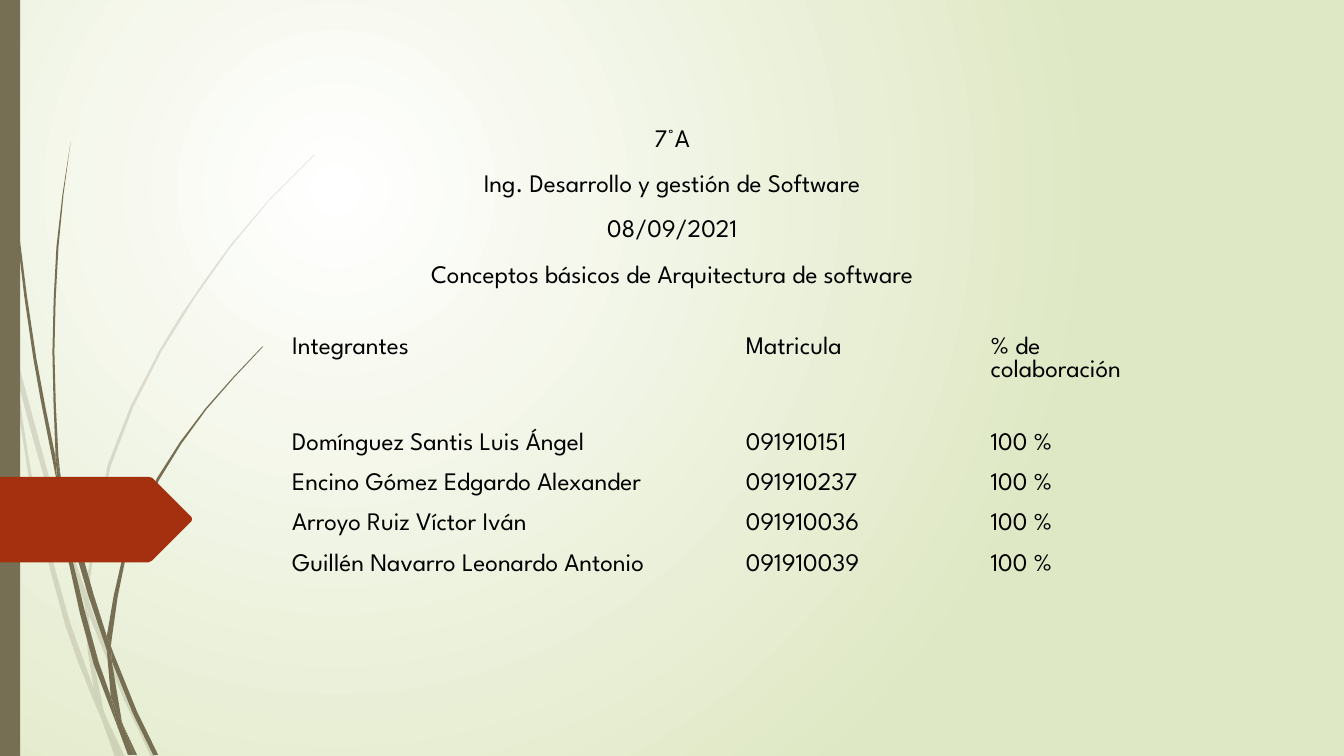
from dataclasses import dataclass
from itertools import pairwise
from math import dist

from lxml.etree import SubElement as Sub
from pptx import Presentation
from pptx.dml.color import RGBColor as Rgb
from pptx.enum.shapes import MSO_SHAPE as Kind
from pptx.enum.text import MSO_AUTO_SIZE as Fit, PP_ALIGN as Align
from pptx.oxml.ns import qn
from pptx.util import Cm, Pt

Dot = tuple[float, float]

HUES = {"white": "FFFFFF", "lime": "DFE8C4", "olive": "766F54", "rust": "A53010", "black": "000000"}
FONT = "League Spartan"
UNIT = Cm(0.0254)
CHORD = 50
PLAIN = "{2D5ABB26-0587-4C30-8999-92F81FD0307C}"


@dataclass
class Blade:
    down: list[Dot]
    back: list[Dot]


@dataclass
class Tuft:
    alpha: int
    blades: list[Blade]


@dataclass
class Member:
    name: str
    code: str
    share: str


FAINT = Tuft(20, [
    Blade([(11, 350), (9, 322), (0, 282)], [(0, 299), (10, 344)]),
    Blade([(14, 345), (17, 376), (58, 522), (84, 599)], [(85, 586), (62, 520), (14, 345)]),
    Blade([(88, 610), (123, 694), (150, 751)], [(155, 751), (127, 692), (92, 607), (88, 596)]),
    Blade([(105, 711), (119, 751)], [(124, 751)]),
    Blade([(11, 350), (28, 470), (65, 621), (92, 693), (101, 714)],
          [(99, 707), (93, 683), (70, 619), (31, 469), (17, 376), (11, 350)]),
    Blade([(84, 599), (87, 646), (93, 683), (96, 692), (105, 711)],
          [(103, 706), (91, 646), (88, 610)]),
    Blade([(88, 596), (88, 584), (110, 462), (160, 349), (229, 245), (268, 198), (312, 154)],
          [(312, 153), (268, 197), (228, 244), (158, 348), (107, 461), (85, 584)]),
    Blade([(101, 714), (114, 751)], [(119, 751)]),
    Blade([(85, 586), (84, 599), (88, 608)], [(88, 596)]),
    Blade([(93, 683), (101, 714), (119, 751)], [(105, 711), (96, 692)]),
])
SOLID = Tuft(100, [
    Blade([(3, 0), (7, 110), (17, 233), (33, 355), (57, 481)],
          [(55, 453), (36, 355), (19, 232), (8, 109), (4, 0)]),
    Blade([(60, 472), (64, 505), (88, 592), (106, 645)], [(106, 631), (93, 590), (60, 472)]),
    Blade([(110, 641), (111, 656), (132, 708), (152, 749)], [(157, 749), (136, 706), (113, 649)]),
    Blade([(57, 477), (68, 557), (93, 659), (117, 722)],
          [(110, 691), (98, 657), (72, 556), (64, 505)]),
    Blade([(60, 472), (58, 453), (54, 349), (58, 245), (63, 193), (70, 141)],
          [(62, 193), (56, 245), (52, 349), (55, 449)]),
    Blade([(122, 719), (133, 749)], [(136, 749)]),
    Blade([(55, 449), (60, 472), (64, 505)], [(57, 477), (55, 453)]),
    Blade([(110, 641), (111, 633), (125, 552), (158, 476), (205, 406), (261, 344)],
          [(260, 344), (204, 405), (156, 474), (122, 551), (106, 631)]),
    Blade([(117, 722), (127, 749)], [(131, 749)]),
    Blade([(106, 645), (110, 691), (122, 719)], [(121, 716), (111, 656)]),
    Blade([(106, 631), (106, 645), (111, 656)], [(110, 641)]),
    Blade([(110, 691), (117, 722), (130, 749)], [(133, 749), (122, 719)]),
])
ARROW = [(0, 473), (147, 473), (151, 474), (190, 513), (190.5, 515),
         (190, 517), (151, 556), (147, 558), (0, 558)]
LINES = ["7°A", "Ing. Desarrollo y gestión de Software", "08/09/2021",
         "Conceptos básicos de Arquitectura de software"]
TEAM = [
    Member("Integrantes", "Matricula", "% de colaboración"),
    Member("Domínguez Santis Luis Ángel", "091910151", "100 %"),
    Member("Encino Gómez Edgardo Alexander", "091910237", "100 %"),
    Member("Arroyo Ruiz Víctor Iván", "091910036", "100 %"),
    Member("Guillén Navarro Leonardo Antonio", "091910039", "100 %"),
]
WIDTHS = [11.43, 6.17, 4.37]
TALL, SHORT = 2.41, 0.97


def hue(name: str) -> Rgb:
    return Rgb.from_string(HUES[name])


def slope(dots: list[Dot], i: int) -> Dot:
    near = dots[max(i - 1, 0):i + 2]
    span = sum(dist(a, b) for a, b in pairwise(near))
    return (near[-1][0] - near[0][0]) / span, (near[-1][1] - near[0][1]) / span


def bend(dots: list[Dot]) -> list[Dot]:
    curve = [dots[0]]
    for i, (a, b) in enumerate(pairwise(dots)):
        gap, lead, tail = dist(a, b), slope(dots, i), slope(dots, i + 1)
        steps = max(1, round(gap / CHORD))
        for t in (n / steps for n in range(1, steps + 1)):
            ease = t * t * (3 - 2 * t)
            out, into = gap * t * (1 - t) ** 2, gap * t * t * (t - 1)
            curve.append(tuple(p + (q - p) * ease + u * out + v * into
                               for p, q, u, v in zip(a, b, lead, tail)))
    return curve


def paint(shape, color: str) -> None:
    shape.fill.solid()
    shape.fill.fore_color.rgb = hue(color)
    shape.line.fill.background()
    shape.shadow.inherit = False


def trace(shapes, dots: list[Dot], color: str):
    spots = [(x * UNIT, y * UNIT) for x, y in dots]
    pen = shapes.build_freeform(*spots[0])
    pen.add_line_segments(spots[1:], close=True)
    shape = pen.convert_to_shape()
    paint(shape, color)
    return shape


def grow(slide, tuft: Tuft) -> None:
    group = slide.shapes.add_group_shape()
    for blade in tuft.blades:
        leaf = trace(group.shapes, bend(blade.down) + bend(blade.back), "olive")
        if tuft.alpha < 100:
            tint = leaf.element.spPr.find(".//" + qn("a:srgbClr"))
            Sub(tint, qn("a:alpha"), val=str(tuft.alpha * 1000))


def shade(slide) -> None:
    fill = slide.background.fill
    fill.gradient()
    for stop, color in zip(fill.gradient_stops, ("white", "lime")):
        stop.color.rgb = hue(color)
    grad = slide.element.find(".//" + qn("a:gradFill"))
    grad.remove(grad.find(qn("a:lin")))
    ring = Sub(grad, qn("a:path"), {"path": "circle"})
    Sub(ring, qn("a:fillToRect"), l="50000", t="50000", r="100000", b="100000")


def style(para) -> None:
    para.font.name = FONT
    para.font.size = Pt(18)
    para.font.color.rgb = hue("black")


def head(slide) -> None:
    frame = slide.shapes.add_textbox(Cm(5.28), Cm(2.57), Cm(23.32), Cm(4.75)).text_frame
    frame.word_wrap = True
    frame.auto_size = Fit.SHAPE_TO_FIT_TEXT
    frame.text = "\n".join(LINES)
    for para in frame.paragraphs:
        para.alignment = Align.CENTER
        para.line_spacing = 1.5
        style(para)


def roster(slide) -> None:
    high = TALL + SHORT * (len(TEAM) - 1)
    frame = slide.shapes.add_table(len(TEAM), len(WIDTHS), Cm(7.11), Cm(8.36), Cm(sum(WIDTHS)), Cm(high))
    table = frame.table
    table.first_row = table.horz_banding = False
    frame.element.find(".//" + qn("a:tableStyleId")).text = PLAIN
    for col, width in zip(table.columns, WIDTHS):
        col.width = Cm(width)
    for i, (row, member) in enumerate(zip(table.rows, TEAM)):
        row.height = Cm(SHORT if i else TALL)
        for cell, text in zip(row.cells, (member.name, member.code, member.share)):
            cell.text = text
            cell.fill.background()
            style(cell.text_frame.paragraphs[0])


def main() -> None:
    deck = Presentation()
    deck.slide_width, deck.slide_height = Cm(33.87), Cm(19.05)
    slide = deck.slides.add_slide(deck.slide_layouts[6])
    shade(slide)
    for tuft in (FAINT, SOLID):
        grow(slide, tuft)
    paint(slide.shapes.add_shape(Kind.RECTANGLE, 0, 0, Cm(0.51), Cm(19.05)), "olive")
    trace(slide.shapes, ARROW, "rust")
    head(slide)
    roster(slide)
    deck.save("out.pptx")


if __name__ == "__main__":
    main()
